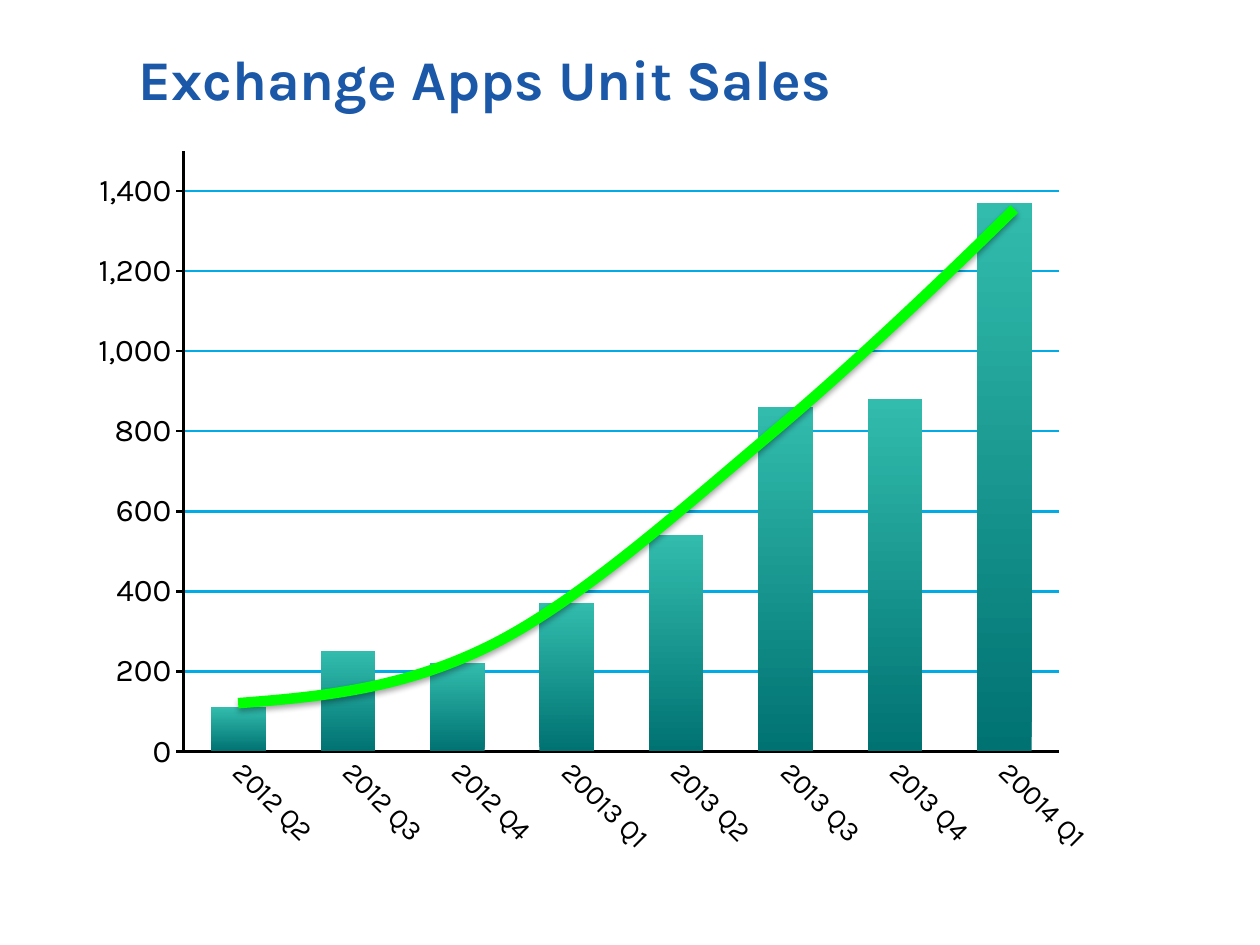
from dataclasses import dataclass

from lxml.etree import SubElement as Sub
from pptx import Presentation
from pptx.chart.data import CategoryChartData as Data
from pptx.dml.color import RGBColor as Rgb
from pptx.enum.chart import XL_CHART_TYPE as Kind, XL_TICK_MARK as Tick
from pptx.enum.text import MSO_ANCHOR as Anchor, PP_ALIGN as Align
from pptx.oxml import parse_xml
from pptx.oxml.ns import nsdecls, qn
from pptx.util import Pt

FONT = "Karla"
HUES = {
    "title": "1B58A8",
    "ink": "000000",
    "grid": "00ABE6",
    "deep": "007272",
    "light": "32BCAD",
    "trend": "00FF00",
}


@dataclass
class Sale:
    term: str
    units: int


@dataclass
class Bend:
    lead: tuple[float, float]
    trail: tuple[float, float]
    end: tuple[float, float]


SALES = [
    Sale("2012 Q2", 110),
    Sale("2012 Q3", 250),
    Sale("2012 Q4", 220),
    Sale("20013 Q1", 370),
    Sale("2013 Q2", 540),
    Sale("2013 Q3", 860),
    Sale("2013 Q4", 880),
    Sale("20014 Q1", 1370),
]
START = (136.1, 401.8)
BENDS = [
    Bend((183.6, 398.2), (230.4, 393.8), (280.8, 368.6)),
    Bend((331.2, 343.4), (388.8, 291.6), (438.5, 249.8)),
    Bend((488.2, 208.1), (540.7, 157.7), (579.6, 119.5)),
]


def hue(name: str) -> Rgb:
    return Rgb.from_string(HUES[name])


def set_font(font, size: float, name: str) -> None:
    font.name = FONT
    font.size = Pt(size)
    font.color.rgb = hue(name)


def set_line(line, name: str, width: float) -> None:
    line.color.rgb = hue(name)
    line.width = Pt(width)


def add_title(slide, text: str) -> None:
    title = slide.shapes.title
    title.left, title.top, title.width, title.height = Pt(72), Pt(21.6), Pt(648), Pt(90)
    frame = title.text_frame
    frame.vertical_anchor = Anchor.TOP
    para = frame.paragraphs[0]
    para.alignment = Align.LEFT
    run = para.add_run()
    run.text = text
    set_font(run.font, 32, "title")
    run.font.bold = True


def set_plot(chart, x: float, y: float, w: float, h: float) -> None:
    area = chart._chartSpace.chart.plotArea
    for old in area.findall(qn("c:layout")):
        area.remove(old)
    box = parse_xml(f"<c:layout {nsdecls('c')}><c:manualLayout/></c:layout>")
    parts = {"layoutTarget": "inner", "xMode": "edge", "yMode": "edge",
             "x": x, "y": y, "w": w, "h": h}
    for tag, val in parts.items():
        Sub(box[0], qn(f"c:{tag}")).set("val", str(val))
    area.insert(0, box)


def add_bars(slide, sales: list[Sale]) -> None:
    data = Data(number_format="#,##0")
    data.categories = [sale.term for sale in sales]
    data.add_series("Series 1", [sale.units for sale in sales])
    chart = slide.shapes.add_chart(
        Kind.COLUMN_STACKED, Pt(38.9), Pt(71.3), Pt(648), Pt(440.6), data
    ).chart
    chart.has_legend = False
    chart.has_title = False
    set_font(chart.font, 18, "ink")
    set_plot(chart, 0.102, 0.034, 0.772, 0.779)

    plot = chart.plots[0]
    plot.gap_width = 100
    plot.overlap = 100
    plot.vary_by_categories = False
    bars = plot.series[0]
    bars.invert_if_negative = False
    fill = bars.format.fill
    fill.gradient()
    fill.gradient_angle = 90
    for stop, name, spot in zip(fill.gradient_stops, ("deep", "light"), (0, 1)):
        stop.color.rgb = hue(name)
        stop.position = spot

    terms, units = chart.category_axis, chart.value_axis
    for axis, size, mark in ((terms, 16, Tick.NONE), (units, 18, Tick.OUTSIDE)):
        set_font(axis.tick_labels.font, size, "ink")
        set_line(axis.format.line, "ink", 1.5)
        axis.major_tick_mark = mark
        axis.minor_tick_mark = Tick.NONE
    terms._element.txPr.bodyPr.set("rot", "2700000")
    units.minimum_scale = 0
    units.maximum_scale = 1500
    units.major_unit = 200
    units.tick_labels.number_format = "#,##0"
    units.tick_labels.number_format_is_linked = False
    units.has_major_gridlines = True
    set_line(units.major_gridlines.format.line, "grid", 1.5)


def add_curve(slide, start: tuple[float, float], bends: list[Bend]) -> None:
    spots = [spot for bend in bends for spot in (bend.lead, bend.trail, bend.end)]
    pen = slide.shapes.build_freeform(Pt(start[0]), Pt(start[1]))
    pen.add_line_segments([(Pt(x), Pt(y)) for x, y in spots], close=False)
    curve = pen.convert_to_shape()
    curve.fill.background()
    set_line(curve.line, "trend", 6)

    path = next(curve._element.iter(qn("a:path")))
    steps = path.findall(qn("a:lnTo"))
    for i in range(0, len(steps), 3):
        cubic = Sub(path, qn("a:cubicBezTo"))
        for step in steps[i:i + 3]:
            cubic.append(step[0])
            path.remove(step)

    curve.shadow.inherit = False
    glow = curve._element.spPr.find(qn("a:effectLst"))
    glow.append(parse_xml(
        f'<a:outerShdw {nsdecls("a")} blurRad="{Pt(3.1)}" dist="{Pt(1.8)}" '
        f'dir="5400000" rotWithShape="0"><a:srgbClr val="{HUES["ink"]}">'
        '<a:alpha val="35000"/></a:srgbClr></a:outerShdw>'
    ))


def main() -> None:
    deck = Presentation()
    deck.slide_width, deck.slide_height = Pt(720), Pt(540)
    slide = deck.slides.add_slide(deck.slide_layouts[5])
    add_title(slide, "Exchange Apps Unit Sales")
    add_bars(slide, SALES)
    add_curve(slide, START, BENDS)
    deck.save("out.pptx")


if __name__ == "__main__":
    main()
